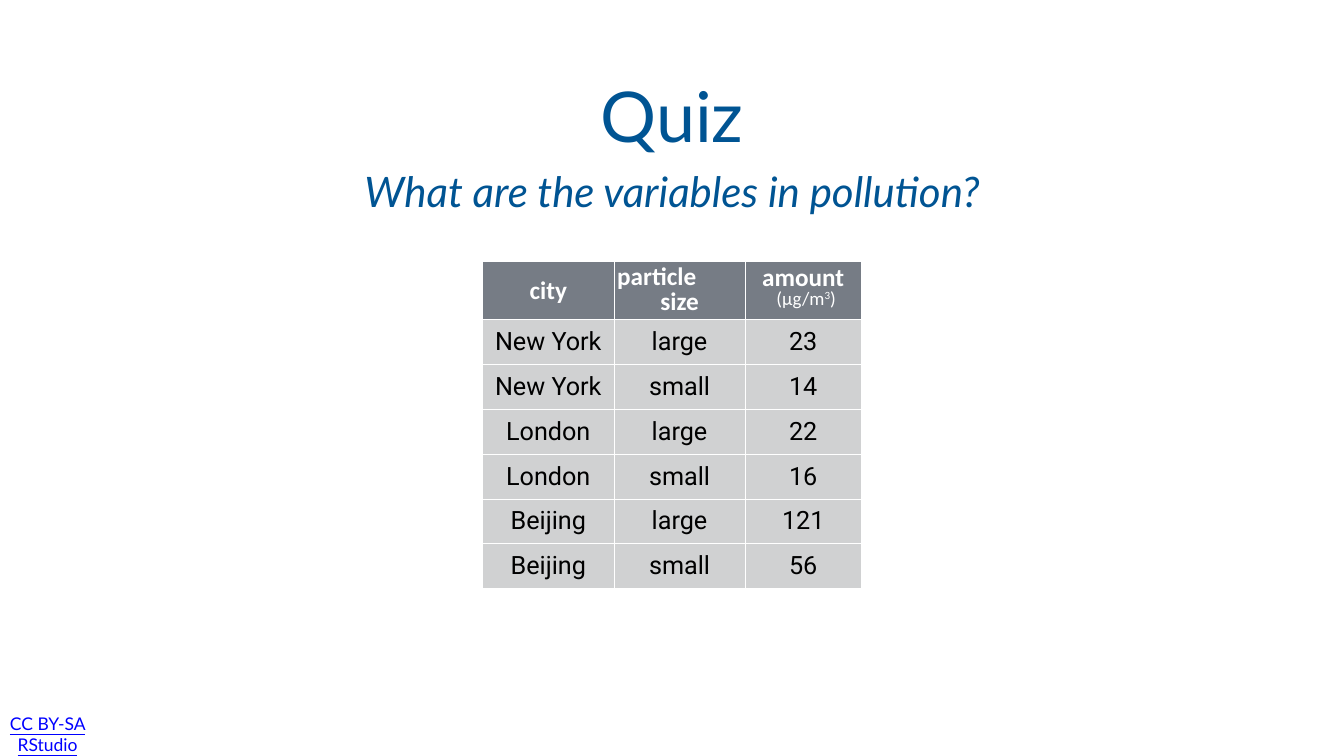
from lxml import etree
from pptx import Presentation
from pptx.dml.color import RGBColor
from pptx.enum.text import MSO_ANCHOR, PP_ALIGN
from pptx.oxml.ns import qn
from pptx.util import Cm, Pt

LEFT, CENTER = PP_ALIGN.LEFT, PP_ALIGN.CENTER
TOP, MIDDLE = MSO_ANCHOR.TOP, MSO_ANCHOR.MIDDLE

COLORS = {
    "blue": "005493", "link": "0000FF", "white": "FFFFFF",
    "black": "000000", "header": "767C85", "body": "D0D1D2",
}

TITLE = "Quiz"
QUESTION = "What are the variables in pollution?"
LICENSE = "CC BY-SA RStudio"
UNIT = [(" ", 36, 0), ("(µg/m", 27, 0), ("3", 27, 32), (")", 27, 0)]
HEADERS = [
    [("city", CENTER, 1.0)],
    [("particle", LEFT, 0.8), ("size", CENTER, 0.8)],
    [("amount", CENTER, 0.6)],
]
ROWS = [
    ("New York", "large", "23"),
    ("New York", "small", "14"),
    ("London", "large", "22"),
    ("London", "small", "16"),
    ("Beijing", "large", "121"),
    ("Beijing", "small", "56"),
]

PAGE_WIDTH, PAGE_HEIGHT = 67.74, 38.1
TABLE_TOP = 13.16
COLUMN_WIDTHS = [6.65, 6.58, 5.89]
HEADER_HEIGHT, ROW_HEIGHT = 2.95, 2.26


def color(name):
    return RGBColor.from_string(COLORS[name])


def add_text(para, text, font="Lato", size=36, ink="black", bold=False,
             italic=False, underline=False, align=CENTER, spacing=None, raised=0):
    para.alignment = align
    if spacing:
        para.line_spacing = spacing
    span = para.add_run()
    span.text = text
    span.font.name = font
    span.font.size = Pt(size)
    span.font.bold = bold
    span.font.italic = italic
    span.font.underline = underline
    span.font.color.rgb = color(ink)
    if raised:
        span.font._element.set("baseline", str(raised * 1000))


def add_box(page, text, top, width, height, left=None, anchor=MIDDLE,
            inset=0.2, **style):
    if left is None:
        left = (PAGE_WIDTH - width) / 2
    box = page.shapes.add_textbox(Cm(left), Cm(top), Cm(width), Cm(height))
    frame = box.text_frame
    frame.word_wrap = True
    frame.vertical_anchor = anchor
    frame.margin_left = frame.margin_right = Cm(inset)
    frame.margin_top = frame.margin_bottom = Cm(inset)
    add_text(frame.paragraphs[0], text, **style)


def style_cell(cell, fill):
    cell.vertical_anchor = MIDDLE
    cell.margin_left = cell.margin_right = Cm(0.15)
    cell.margin_top = cell.margin_bottom = Cm(0.15)
    properties = cell._tc.get_or_add_tcPr()
    for side in ("lnL", "lnR", "lnT", "lnB"):
        line = etree.SubElement(properties, qn("a:" + side), w=str(Pt(1)))
        solid = etree.SubElement(line, qn("a:solidFill"))
        etree.SubElement(solid, qn("a:srgbClr"), val=COLORS["white"])
    cell.fill.solid()
    cell.fill.fore_color.rgb = color(fill)


def add_pollution_table(page):
    width = sum(COLUMN_WIDTHS)
    height = HEADER_HEIGHT + ROW_HEIGHT * len(ROWS)
    table = page.shapes.add_table(
        len(ROWS) + 1, len(COLUMN_WIDTHS), Cm((PAGE_WIDTH - width) / 2),
        Cm(TABLE_TOP), Cm(width), Cm(height)).table
    table.horz_banding = False
    for column, column_width in zip(table.columns, COLUMN_WIDTHS):
        column.width = Cm(column_width)
    for number, row in enumerate(table.rows):
        row.height = Cm(ROW_HEIGHT if number else HEADER_HEIGHT)
        for cell in row.cells:
            style_cell(cell, "body" if number else "header")

    header = {"font": "Calibri", "ink": "white"}
    for column, lines in enumerate(HEADERS):
        frame = table.cell(0, column).text_frame
        for number, (text, align, spacing) in enumerate(lines):
            para = frame.add_paragraph() if number else frame.paragraphs[0]
            add_text(para, text, bold=True, align=align, spacing=spacing, **header)
    para = table.cell(0, 2).text_frame.add_paragraph()
    for text, size, raised in UNIT:
        add_text(para, text, size=size, raised=raised, spacing=0.6, **header)

    for number, values in enumerate(ROWS, start=1):
        for column, value in enumerate(values):
            para = table.cell(number, column).text_frame.paragraphs[0]
            add_text(para, value, font="Roboto")


def main():
    deck = Presentation()
    deck.slide_width, deck.slide_height = Cm(PAGE_WIDTH), Cm(PAGE_HEIGHT)
    page = deck.slides.add_slide(deck.slide_layouts[6])
    add_box(page, LICENSE, 36.22, 4.2, 1.52, left=0.3, inset=0.1,
            size=25, ink="link", underline=True)
    add_box(page, TITLE, 1.0, 40.87, 9.53, size=100, ink="blue")
    add_box(page, QUESTION, 8.15, 59.72, 3.4, anchor=TOP,
            size=60, ink="blue", italic=True)
    add_pollution_table(page)
    deck.save("out.pptx")


if __name__ == "__main__":
    main()
